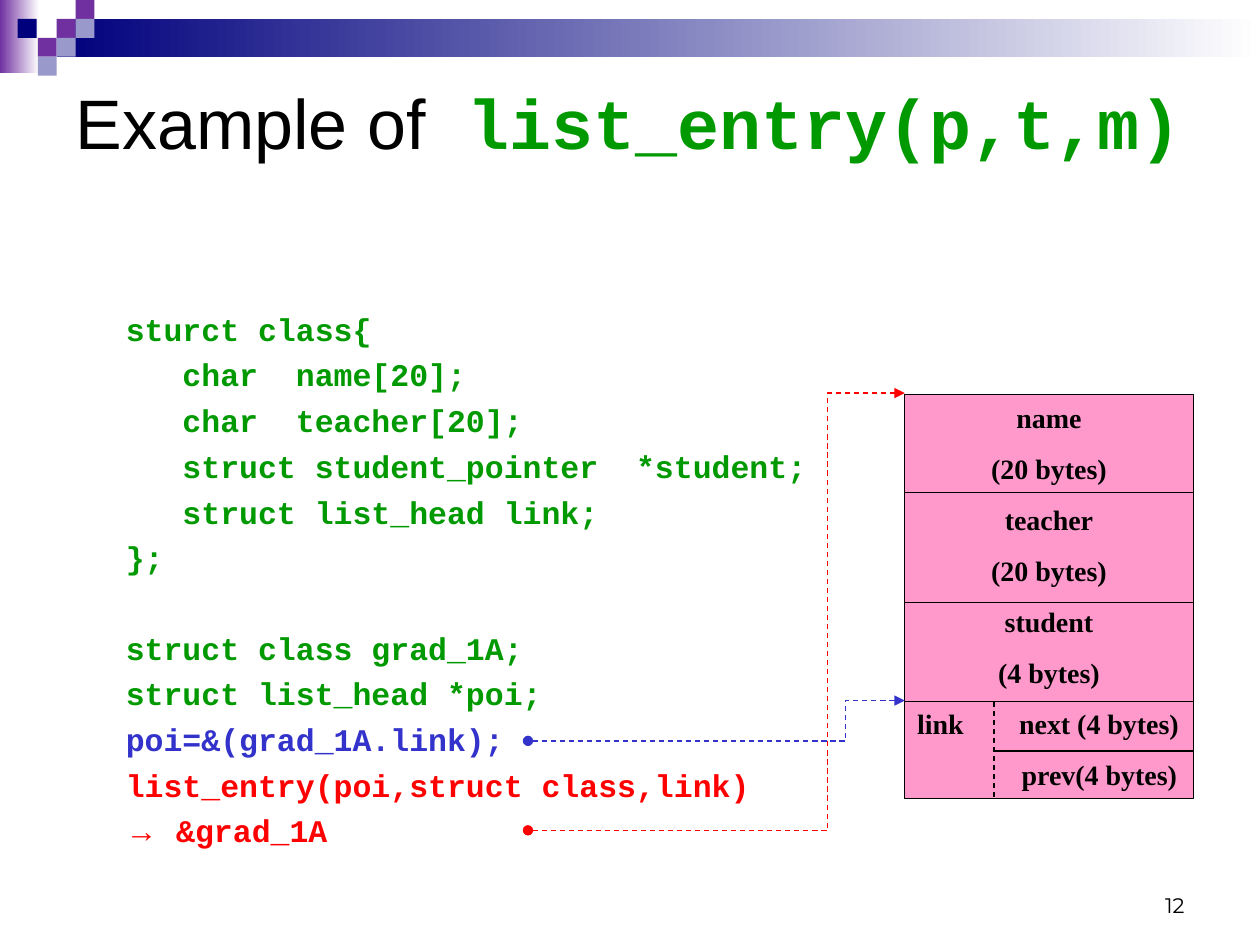
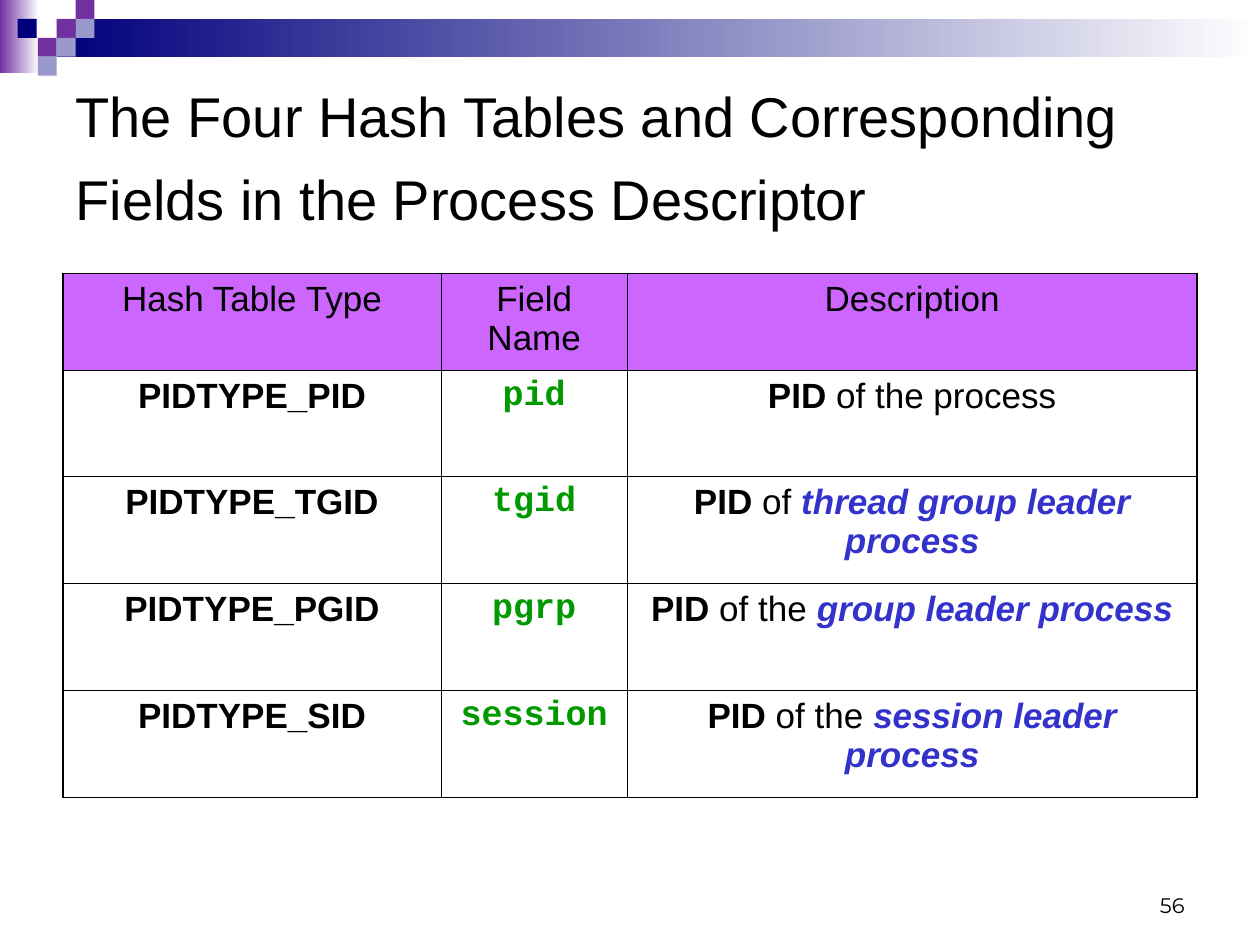
from lxml.etree import SubElement
from pptx import Presentation
from pptx.dml.color import RGBColor as Rgb
from pptx.enum.dml import MSO_LINE as Dash
from pptx.enum.shapes import MSO_CONNECTOR as Connector, MSO_SHAPE as Shape
from pptx.enum.text import MSO_ANCHOR as Anchor, MSO_AUTO_SIZE as AutoSize, PP_ALIGN as Align
from pptx.oxml.ns import qn
from pptx.util import Inches, Pt

COLORS = {
    "black": "000000",
    "white": "FFFFFF",
    "purple": "7030A0",
    "navy": "00007D",
    "lavender": "9999CC",
    "green": "009900",
    "blue": "3333CC",
    "red": "FF0000",
    "pink": "FF99CC",
    "violet": "CC66FF",
}
SANS, MONO, SERIF, NUMBER = "Arial", "Courier New", "Times New Roman", "Montserrat"

PLAIN = {"name": SANS, "size": Pt(20), "bold": False}
STRONG = PLAIN | {"bold": True}
LEADER = STRONG | {"italic": True, "color": "blue"}
FIELD = STRONG | {"name": MONO, "color": "green"}
CODE = FIELD | {"size": Pt(18)}
BLUE_CODE = CODE | {"color": "blue"}
RED_CODE = CODE | {"color": "red"}
MEMBER = {"name": SERIF, "size": Pt(16), "bold": True}

SQUARE = 0.15
SQUARES = [
    (0.45, 0.15, "purple"), (0.6, 0, "purple"), (0.6, 0.15, "lavender"),
    (0.3, 0.3, "purple"), (0.14, 0.15, "navy"), (0.45, 0.3, "lavender"),
    (0.3, 0.45, "lavender"),
]

CODE_LINES = [
    ("sturct class{", CODE, 0, 4.5),
    ("char  name[20];", CODE, 0.45, 4.5),
    ("char  teacher[20];", CODE, 0.45, 4.5),
    ("struct student_pointer  *student;", CODE, 0.45, 4.5),
    ("struct list_head link;", CODE, 0.45, 4.5),
    ("};", CODE, 0, 4.5),
    ("struct class grad_1A;", CODE, 0, 30),
    ("struct list_head *poi;", CODE, 0, 4.5),
    ("poi=&(grad_1A.link);", BLUE_CODE, 0, 4.5),
    ("list_entry(poi,struct class,link)", RED_CODE, 0, 4.5),
]

HASH_ROWS = [
    ("PIDTYPE_PID", "pid", " of the process", ""),
    ("PIDTYPE_TGID", "tgid", " of ", "thread group leader process"),
    ("PIDTYPE_PGID", "pgrp", " of the ", "group leader process"),
    ("PIDTYPE_SID", "session", " of the ", "session leader process"),
]


def rgb(name):
    return Rgb.from_string(COLORS[name])


def set_attributes(target, values):
    for name, value in values.items():
        setattr(target, name, value)


def add_span(para, text, style):
    span = para.add_run()
    span.text = text
    values = dict(style)
    span.font.color.rgb = rgb(values.pop("color", "black"))
    set_attributes(span.font, values)


def add_para(frame, spans, **values):
    first = frame.paragraphs[0]
    para = frame.add_paragraph() if first.runs else first
    set_attributes(para, values)
    for text, style in spans:
        add_span(para, text, style)
    return para


def set_indent(para, inches):
    para._p.get_or_add_pPr().set("marL", str(Inches(inches)))


def add_tab_stop(para, inches):
    stops = SubElement(para._p.get_or_add_pPr(), qn("a:tabLst"))
    SubElement(stops, qn("a:tab"), pos=str(Inches(inches)), algn="l")


def add_text_box(page, bounds, anchor=Anchor.TOP):
    frame = page.shapes.add_textbox(*map(Inches, bounds)).text_frame
    set_attributes(frame, {"word_wrap": True, "vertical_anchor": anchor})
    return frame


def add_box(page, bounds, fill, fade_to=None):
    box = page.shapes.add_shape(Shape.RECTANGLE, *map(Inches, bounds))
    box.shadow.inherit = False
    box.line.fill.background()
    if fade_to:
        box.fill.gradient()
        box.fill.gradient_angle = 0
        for stop, name in zip(box.fill.gradient_stops, (fill, fade_to)):
            stop.color.rgb = rgb(name)
    else:
        box.fill.solid()
        box.fill.fore_color.rgb = rgb(fill)
    return box


def style_line(line, color="black", dashed=False):
    line.color.rgb = rgb(color)
    line.width = Pt(0.75)
    if dashed:
        line.dash_style = Dash.DASH


def add_rule(page, start, end, dashed=False):
    rule = page.shapes.add_connector(Connector.STRAIGHT, *map(Inches, start + end))
    style_line(rule.line, dashed=dashed)
    SubElement(rule._element.spPr, qn("a:effectLst"))


def add_pointer(page, points, color):
    start, *rest = [tuple(map(Inches, point)) for point in points]
    builder = page.shapes.build_freeform(*start)
    builder.add_line_segments(rest, close=False)
    pointer = builder.convert_to_shape()
    pointer.shadow.inherit = False
    pointer.fill.background()
    style_line(pointer.line, color, dashed=True)
    outline = pointer.line._get_or_add_ln()
    SubElement(outline, qn("a:headEnd"), type="oval")
    SubElement(outline, qn("a:tailEnd"), type="triangle")


def decorate_master(deck, page):
    boxes = [
        add_box(page, (0, 0, 0.31, 0.58), "purple", "white"),
        add_box(page, (0.45, 0.15, 9.55, 0.3), "navy", "white"),
    ]
    boxes += [add_box(page, (left, top, SQUARE, SQUARE), name) for left, top, name in SQUARES]
    for number, box in enumerate(boxes, 100):
        box.element.nvSpPr.cNvPr.id = number
        deck.slide_master.shapes.element.append(box.element)


def add_page(deck, number, title_spans, title_inset, title_spacing=None):
    page = deck.slides.add_slide(deck.slide_layouts[5])
    title = page.shapes.title
    bounds = map(Inches, (0.5, 0.5, 9, 1.5))
    set_attributes(title, dict(zip(("left", "top", "width", "height"), bounds)))
    set_attributes(title.text_frame, {
        "word_wrap": True,
        "auto_size": AutoSize.NONE,
        "vertical_anchor": Anchor.TOP,
        "margin_top": Inches(title_inset),
    })
    add_para(title.text_frame, title_spans, alignment=Align.LEFT, line_spacing=title_spacing)
    footer = add_text_box(page, (7.17, 6.83, 2.33, 0.5), Anchor.BOTTOM)
    add_para(footer, [(number, {"name": NUMBER, "size": Pt(12)})], alignment=Align.RIGHT)
    return page


def add_code(page):
    frame = add_text_box(page, (0.9, 2.41, 6.04, 4.5))
    for text, style, indent, gap in CODE_LINES:
        para = add_para(frame, [(text, style)], space_before=Pt(gap), line_spacing=Pt(21.6))
        set_indent(para, indent)
    result = [("→", RED_CODE | {"name": SANS}), (" &grad_1A", RED_CODE)]
    add_para(frame, result, space_before=Pt(4.5), line_spacing=Pt(21.6))


def add_struct(page):
    left, top, right, bottom = 7.18, 3.13, 9.47, 6.34
    split, link_top = 7.89, 5.57
    box = add_box(page, (left, top, right - left, bottom - top), "pink")
    style_line(box.line)
    frame = box.text_frame
    set_attributes(frame, {"word_wrap": True, "vertical_anchor": Anchor.TOP})
    spacing = {"space_before": Pt(10), "line_spacing": Pt(19.1)}
    for name, size in (("name", 20), ("teacher", 20), ("student", 4)):
        for text in (name, f"({size} bytes)"):
            add_para(frame, [(text, MEMBER)], alignment=Align.CENTER, **spacing)
    link = add_para(frame, [("link\tnext (4 bytes)", MEMBER)], alignment=Align.LEFT, **spacing)
    add_tab_stop(link, 0.81)
    prev = add_para(frame, [("prev(4 bytes)", MEMBER)], alignment=Align.LEFT, **spacing)
    set_indent(prev, 0.83)
    for height in (3.91, 4.78, link_top):
        add_rule(page, (left, height), (right, height))
    add_rule(page, (split, 5.96), (right, 5.96))
    add_rule(page, (split, link_top), (split, bottom), dashed=True)
    add_pointer(page, [(4.19, 5.88), (6.71, 5.88), (6.71, 5.56), (left, 5.56)], "blue")
    add_pointer(page, [(4.19, 6.59), (6.57, 6.59), (6.57, 3.12), (left, 3.12)], "red")


def set_borders(cell, outer_sides):
    properties = cell._tc.get_or_add_tcPr()
    for side in "LRTB":
        width = Pt(1.08) if side in outer_sides else Pt(0.45)
        border = SubElement(properties, qn(f"a:ln{side}"), w=str(width))
        fill = SubElement(border, qn("a:solidFill"))
        SubElement(fill, qn("a:srgbClr"), val=COLORS["black"])


def add_hash_table(page):
    rows = [[[(text, PLAIN)] for text in ("Hash Table Type", "Field Name", "Description")]]
    for kind, field, relation, leader in HASH_ROWS:
        description = [("PID", STRONG), (relation, PLAIN)]
        if leader:
            description.append((leader, LEADER))
        rows.append([[(kind, STRONG)], [(field, FIELD)], description])
    widths, heights = (3, 1.48, 4.52), (0.77, 0.84, 0.85, 0.85, 0.85)
    bounds = map(Inches, (0.5, 2.17, sum(widths), sum(heights)))
    table = page.shapes.add_table(len(rows), len(widths), *bounds).table
    set_attributes(table, {"first_row": False, "horz_banding": False})
    for column, width in zip(table.columns, widths):
        column.width = Inches(width)
    for row, height in zip(table.rows, heights):
        row.height = Inches(height)
    for i, cells in enumerate(rows):
        for j, spans in enumerate(cells):
            cell = table.cell(i, j)
            edges = {"L": j == 0, "R": j == len(widths) - 1, "T": i == 0, "B": i == len(rows) - 1}
            set_borders(cell, [side for side, outer in edges.items() if outer])
            if i == 0:
                cell.fill.solid()
                cell.fill.fore_color.rgb = rgb("violet")
            else:
                cell.fill.background()
            add_para(cell.text_frame, spans, alignment=Align.CENTER, space_before=Pt(5))


def main():
    deck = Presentation()
    deck.slide_width, deck.slide_height = Inches(10), Inches(7.5)

    heading = PLAIN | {"size": Pt(40)}
    macro = FIELD | {"size": Pt(40)}
    example = add_page(deck, "12", [("Example of", heading), (" list_entry(p,t,m)", macro)], 0.13)
    decorate_master(deck, example)
    add_code(example)
    add_struct(example)

    title = "The Four Hash Tables and Corresponding Fields in the Process Descriptor"
    hashes = add_page(deck, "56", [(title, PLAIN | {"size": Pt(32)})], 0.03, Pt(47))
    add_hash_table(hashes)

    deck.save("out.pptx")


if __name__ == "__main__":
    main()
